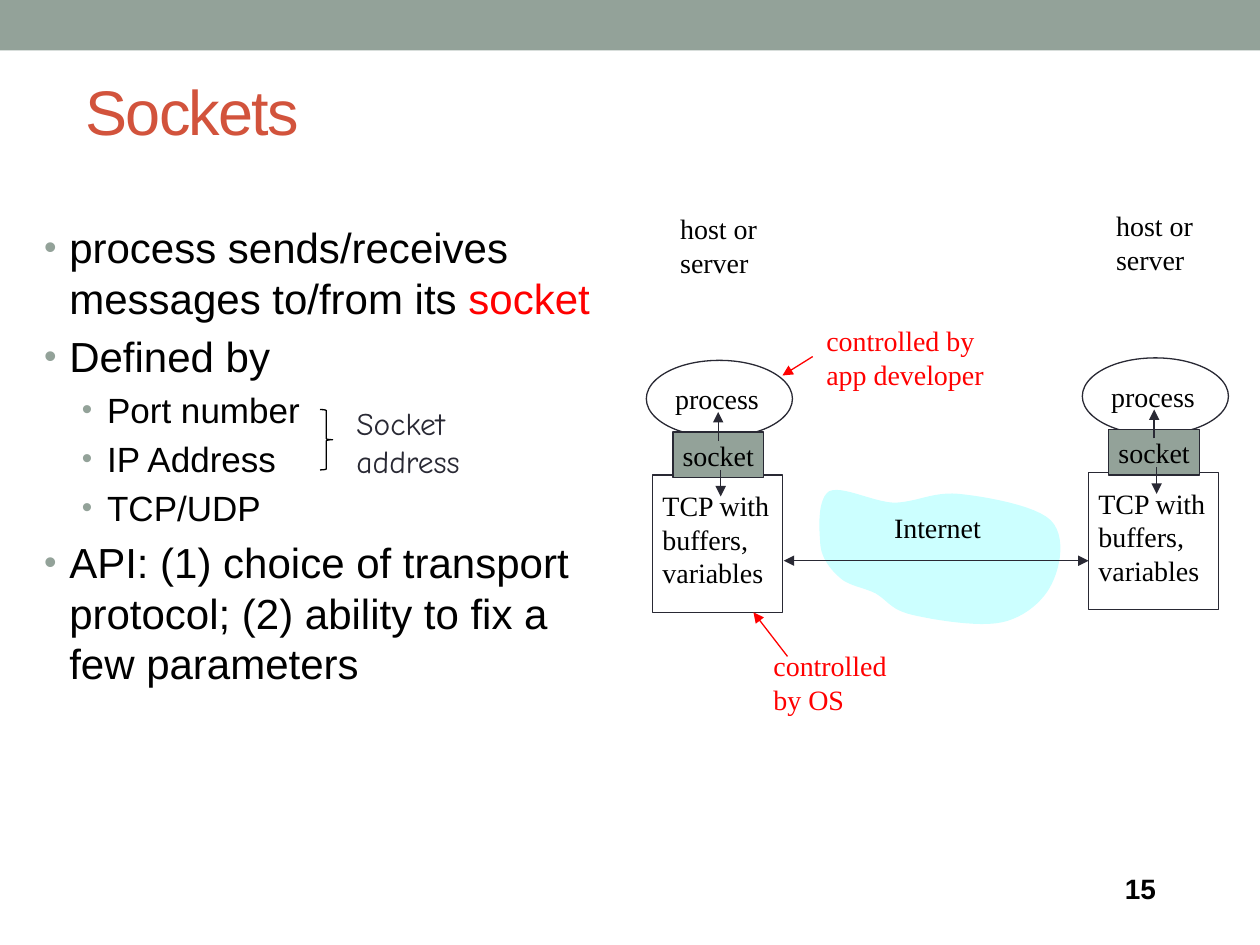
"""Build the Sockets slide: bullet list and a two-host communication diagram."""
from lxml import etree
from pptx import Presentation
from pptx.dml.color import RGBColor
from pptx.enum.shapes import MSO_CONNECTOR, MSO_SHAPE
from pptx.enum.text import MSO_ANCHOR, MSO_AUTO_SIZE, PP_ALIGN
from pptx.oxml.ns import qn
from pptx.util import Inches, Pt

RECTANGLE, ELLIPSE = MSO_SHAPE.RECTANGLE, MSO_SHAPE.OVAL
BRACE, STRAIGHT = MSO_SHAPE.RIGHT_BRACE, MSO_CONNECTOR.STRAIGHT
MIDDLE, TOP = MSO_ANCHOR.MIDDLE, MSO_ANCHOR.TOP
FIT_SHAPE, NO_FIT = MSO_AUTO_SIZE.SHAPE_TO_FIT_TEXT, MSO_AUTO_SIZE.NONE
LEFT, CENTER = PP_ALIGN.LEFT, PP_ALIGN.CENTER

SAGE, INK, BLACK, RED = "93A299", "292934", "000000", "FF0000"
BRICK, CLOUD = "D2533C", "CCFFFF"

LABEL = {"name": "Times New Roman", "size": Pt(16)}
TITLE = {"name": "Arial", "size": Pt(36)}
PAGE = {"name": "Arial", "size": Pt(16), "bold": True}
NOTE = {"name": "Comic Neue", "size": Pt(18)}
LEVELS = [
    {"indent": 0.2, "font": {"name": "Arial", "size": Pt(24)}, "before": Pt(4.8)},
    {"indent": 0.5, "font": {"name": "Arial", "size": Pt(20)}, "before": Pt(4)},
]
BULLETS = [
    (0, [("process sends/receives messages to/from its ", BLACK), ("socket", RED)]),
    (0, [("Defined by", BLACK)]),
    (1, [("Port number", BLACK)]),
    (1, [("IP Address", BLACK)]),
    (1, [("TCP/UDP", BLACK)]),
    (0, [("API: (1) choice of transport protocol; "
          "(2) ability to fix a few parameters", BLACK)]),
]
CLOUD_START = (6.51, 4.3)
CLOUD_CURVES = [
    [(6.5, 4.18), (6.49, 3.96), (6.58, 3.9)],
    [(6.68, 3.85), (6.92, 3.98), (7.09, 3.99)],
    [(7.27, 3.99), (7.4, 3.9), (7.61, 3.92)],
    [(7.81, 3.94), (8.22, 4.01), (8.34, 4.13)],
    [(8.46, 4.25), (8.42, 4.49), (8.35, 4.63)],
    [(8.29, 4.76), (8.14, 4.9), (7.95, 4.94)],
    [(7.77, 4.98), (7.41, 4.92), (7.24, 4.88)],
    [(7.07, 4.84), (7.05, 4.77), (6.95, 4.71)],
    [(6.85, 4.66), (6.73, 4.65), (6.66, 4.58)],
    [(6.58, 4.51), (6.51, 4.41), CLOUD_START],
]


def rgb(color):
    return RGBColor.from_string(color)


def apply(target, values):
    for key, value in values.items():
        setattr(target, key, value)


def box(left, top, width, height):
    return [Inches(length) for length in (left, top, width, height)]


def place(holder, left, top, width, height):
    sides = ("left", "top", "width", "height")
    apply(holder, dict(zip(sides, box(left, top, width, height))))


def add_run(paragraph, words, font, color):
    run = paragraph.add_run()
    run.text = words
    apply(run.font, font)
    run.font.color.rgb = rgb(color)
    return run


def write(frame, lines, font, color, align=LEFT):
    for number, line in enumerate(lines):
        paragraph = frame.add_paragraph() if number else frame.paragraphs[0]
        paragraph.alignment = align
        add_run(paragraph, line, font, color)


def add_label(shapes, bounds, lines, color=BLACK, font=LABEL, align=LEFT, **frame_format):
    label = shapes.add_textbox(*box(*bounds)).text_frame
    write(label, lines, font, color, align)
    apply(label, {"word_wrap": False, "auto_size": FIT_SHAPE, **frame_format})


def paint(shape, fill=None, line=None):
    shape.shadow.inherit = False
    if fill:
        shape.fill.solid()
        shape.fill.fore_color.rgb = rgb(fill)
    else:
        shape.fill.background()
    if line:
        shape.line.color.rgb = rgb(line)
        shape.line.width = Pt(0.75)
    else:
        shape.line.fill.background()


def add_outline(shapes, preset, bounds, fill=None, line=None):
    outline = shapes.add_shape(preset, *box(*bounds))
    paint(outline, fill, line)
    return outline


def add_arrow(shapes, start, end, color=INK, ends=("tailEnd",)):
    arrow = shapes.add_connector(STRAIGHT, *box(*start, *end))
    arrow.line.color.rgb = rgb(color)
    arrow.line.width = Pt(0.75)
    line = arrow.line._get_or_add_ln()
    for end_tag in ends:
        etree.SubElement(line, qn(f"a:{end_tag}"), type="triangle")
    etree.SubElement(arrow._element.spPr, qn("a:effectLst"))


def add_title(slide):
    title = slide.shapes.title
    place(title, 0.58, 0.25, 8.83, 1.25)
    apply(title.text_frame, {"vertical_anchor": MIDDLE, "auto_size": NO_FIT})
    paragraph = title.text_frame.paragraphs[0]
    paragraph.alignment = LEFT
    heading = add_run(paragraph, "Sockets", TITLE, BRICK)
    heading.font._element.set("spc", "-100")


def add_bullet(paragraph, indent):
    properties = paragraph._p.get_or_add_pPr()
    properties.set("marL", str(Inches(indent)))
    properties.set("indent", str(-Inches(0.2)))
    bullet_color = etree.SubElement(properties, qn("a:buClr"))
    etree.SubElement(bullet_color, qn("a:srgbClr"), val=SAGE)
    etree.SubElement(properties, qn("a:buSzPct"), val="85000")
    etree.SubElement(properties, qn("a:buFont"), typeface="Arial")
    etree.SubElement(properties, qn("a:buChar"), char="•")


def add_bullets(slide):
    body = slide.placeholders[1]
    place(body, 0.25, 1.71, 4.6, 4.3)
    frame = body.text_frame
    apply(frame, {"auto_size": NO_FIT, "vertical_anchor": TOP})
    for number, (level, parts) in enumerate(BULLETS):
        paragraph = frame.add_paragraph() if number else frame.paragraphs[0]
        look = LEVELS[level]
        paragraph.level = level
        add_bullet(paragraph, look["indent"])
        paragraph.space_before = look["before"] if number else Pt(0)
        for words, color in parts:
            add_run(paragraph, words, look["font"], color)


def add_cloud(shapes):
    steps = 12
    outline, start = [], CLOUD_START
    for first, second, end in CLOUD_CURVES:
        for step in range(1, steps + 1):
            t = step / steps
            weights = ((1 - t) ** 3, 3 * t * (1 - t) ** 2, 3 * t * t * (1 - t), t ** 3)
            corners = (start, first, second, end)
            outline.append(tuple(
                Inches(sum(w * corner[axis] for w, corner in zip(weights, corners)))
                for axis in (0, 1)))
        start = end
    builder = shapes.build_freeform(*[Inches(v) for v in CLOUD_START], scale=1.0)
    builder.add_line_segments(outline, close=True)
    paint(builder.convert_to_shape(), CLOUD)


def add_host(slide, x, y):
    host = slide.shapes.add_group_shape().shapes
    add_outline(host, ELLIPSE, (x, y, 1.16, 0.61), line=INK)
    add_label(host, (x + 0.13, y + 0.12, 0.87, 0.37), ["process"])
    add_outline(host, RECTANGLE, (x + 0.05, y + 0.91, 1.03, 1.09), line=INK)
    add_label(host, (x + 0.03, y + 0.97, 1.06, 0.9), ["TCP with", "buffers,", "variables"])
    socket = add_outline(host, RECTANGLE, (x + 0.21, y + 0.57, 0.72, 0.36), SAGE, INK)
    apply(socket.text_frame, {"word_wrap": False, "vertical_anchor": MIDDLE})
    write(socket.text_frame, ["socket"], LABEL, BLACK, CENTER)
    add_arrow(host, (x + 0.57, y + 0.64), (x + 0.57, y + 0.41))
    add_arrow(host, (x + 0.59, y + 0.87), (x + 0.59, y + 1.08))
    add_label(host, (x + 0.17, y - 1.23, 0.81, 0.64), ["host or", "server"])


def main():
    deck = Presentation()
    deck.slide_width, deck.slide_height = Inches(10), Inches(7.5)
    slide = deck.slides.add_slide(deck.slide_layouts[1])
    shapes = slide.shapes
    add_outline(shapes, RECTANGLE, (0, 0, 10, 0.4), SAGE)
    add_title(slide)
    add_bullets(slide)
    add_cloud(shapes)
    for x, y in ((5.13, 2.86), (8.59, 2.84)):
        add_host(slide, x, y)
    add_label(shapes, (6.99, 4, 0.9, 0.37), ["Internet"], align=CENTER)
    add_arrow(shapes, (6.22, 4.45), (8.64, 4.45), ends=("headEnd", "tailEnd"))
    add_label(shapes, (6.04, 5.1, 1.11, 0.9), ["controlled", "by OS"], RED)
    add_arrow(shapes, (6.25, 5.21), (5.98, 4.86), RED)
    add_label(shapes, (6.46, 2.52, 1.46, 0.64), ["controlled by", "app developer"], RED)
    add_arrow(shapes, (6.45, 2.83), (6.21, 2.98), RED)
    add_label(shapes, (8.83, 6.87, 0.79, 0.36), ["15"], font=PAGE,
              word_wrap=True, auto_size=NO_FIT, vertical_anchor=MIDDLE)
    add_outline(shapes, BRACE, (2.54, 3.25, 0.1, 0.48), line=BLACK)
    add_label(shapes, (2.73, 3.16, 1.69, 0.71), ["Socket address"], INK, NOTE, word_wrap=True)
    deck.save("out.pptx")


if __name__ == "__main__":
    main()
